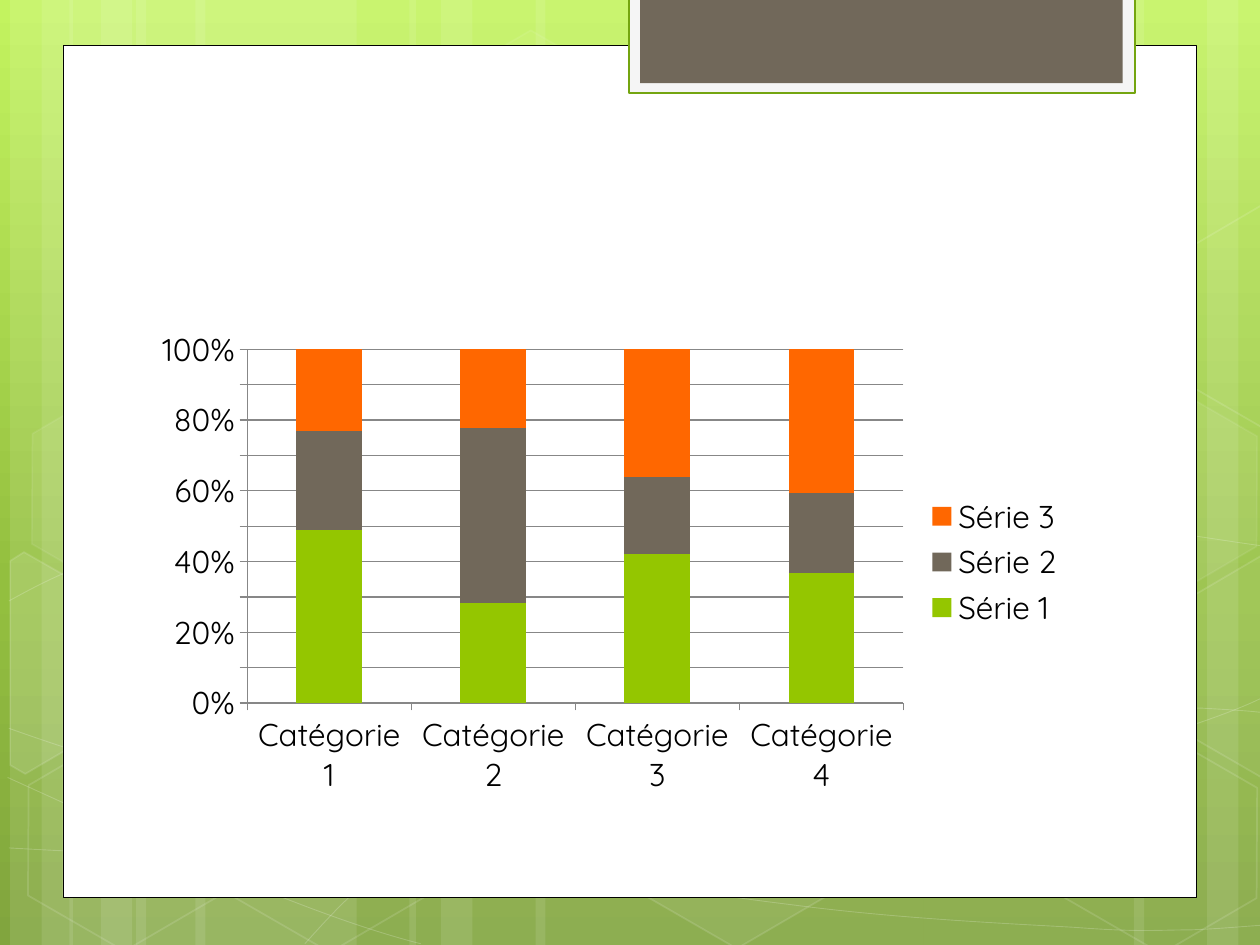
import copy
import math
import pptx
import pptx.util
import pptx.chart.data
import pptx.enum.chart
import pptx.enum.shapes
import pptx.oxml
import pptx.oxml.ns
from pptx.dml.color import RGBColor

THEME = dict(white="FFFFFF", black="000000", tab="71685A", rim="F5F5F5", edge="74A510",
             grid="878787", font="Quicksand", size=18,
             sky=[(0, "C3F35F"), (0.62, "93BF3F"), (1, "81A53E")],
             series=["94C600", "71685A", "FF6700"])
W, H = 10, 7.5
TILT = 30

# Content
CATS = [f"Catégorie {n}" for n in range(1, 5)]
SERIES = {"Série 1": (49, 28, 42, 37),
          "Série 2": (28, 49, 22, 23),
          "Série 3": (23, 22, 36, 41)}

# Decoration: bands (left, width), streams (start, then Bezier triples)
BAND_TRIO = [(1, 1.75), (0, 0.5), (0.25, 0.83)]
BANDS = [(start + dx, w) for start in (0.08, 0.55) for dx, w in BAND_TRIO]
BANDS += [(7.33, 1.75), (9.58, 0.5), (9, 0.83), (4.25, 3.08), (3.25, 0.5), (3.5, 0.83)]
STREAMS = [
    [(0.07, 6.73), (0.61, 6.76), (1.15, 6.79), (1.9, 6.78), (2.65, 6.77), (3.58, 6.75),
     (4.58, 6.65), (5.58, 6.55), (7, 6.36), (7.92, 6.17), (8.83, 5.98), (9.77, 5.68), (10.07, 5.51)],
    [(0.07, 4.77), (0.36, 4.61), (0.65, 4.46), (1.21, 4.31), (1.78, 4.16), (2.59, 3.94),
     (3.47, 3.87), (4.36, 3.8), (5.44, 3.79), (6.54, 3.87), (7.64, 3.95), (9.47, 4.26), (10.07, 4.34)],
    [(0.06, 6.17), (1.27, 6.72), (2.47, 7.27), (3.34, 7.49)],
    [(0.07, 5.78), (0.38, 5.89), (0.7, 6), (1.28, 6.16), (1.86, 6.31), (2.73, 6.56),
     (3.57, 6.73), (4.4, 6.9), (5.45, 7.08), (6.28, 7.18), (7.11, 7.29), (8, 7.33),
     (8.53, 7.36), (9.05, 7.4), (9.19, 7.38), (9.45, 7.38), (9.71, 7.37), (9.89, 7.35), (10.07, 7.34)],
    [(2.42, 7.49), (2.6, 7.29), (2.78, 7.09), (3.02, 6.91), (3.26, 6.73), (3.6, 6.53),
     (3.88, 6.39), (4.16, 6.25), (4.33, 6.19), (4.7, 6.09), (5.06, 5.99), (5.73, 5.85),
     (6.08, 5.78), (6.44, 5.71), (6.49, 5.71), (6.8, 5.69), (7.11, 5.66), (7.6, 5.63),
     (7.94, 5.62), (8.29, 5.61), (8.86, 5.62), (8.86, 5.62), (9.53, 5.62),
     (9.71, 5.63), (9.88, 5.64), (9.97, 5.65), (10.06, 5.66), (10.03, 5.65), (10.06, 5.66)],
]
STRAIGHT_TO = (9.53, 5.62)  # the only straight stretch of a stream
# Hexagons: left, top, fill opacity, line opacity
HEXAGONS = [(3.34, 0.36, 4, 8), (4.97, 5.89, 6, 12), (0.11, 5.91, 0, 12), (0.14, 3.12, 7, 8),
            (1.74, 5.92, 0, 12), (7.53, 4.53, 10, 12), (8.34, 5.93, 0, 12), (8.34, 3.14, 7, 8)]
# Hexagons cut by the slide's edge: centre, corners, fill opacity
RIGHT_CUT = [(9.26, 4.85), (10.01, 4.41), (10.09, 4.46), (10.09, 6.13), (10.02, 6.17), (9.26, 5.73)]
CUT_HEXAGONS = [
    ((0.36, 5.35), [(0.08, 4.45), (0.19, 4.38), (0.96, 4.82),
                    (0.95, 5.7), (0.2, 6.14), (0.08, 6.07)], 10),
    ((9.85, 5.2), RIGHT_CUT, 4),
    ((9.85, 2.42), [(x, y - 2.78) for x, y in RIGHT_CUT], 0),
]
# Panels: box, fill, line, line width
PANELS = [((0.5, 0.36, 9, 6.76), "white", "black", 0.5),
          ((4.99, -0.02, 4.02, 0.76), "rim", "edge", 1.25),
          ((5.08, -0.02, 3.83, 0.68), "tab", None, 0)]
CHART_BOX = (1.14, 2.54, 7.41, 3.84)

prs = pptx.Presentation()
prs.slide_width, prs.slide_height = pptx.util.Inches(W), pptx.util.Inches(H)
s = prs.slides.add_slide(prs.slide_layouts[6])
qn = pptx.oxml.ns.qn


def inches(values):
    return [pptx.util.Inches(v) for v in values]


def paint(fill, color, opacity=100):
    if not color or not opacity:
        fill.background()
        return
    fill.solid()
    fill.fore_color.rgb = RGBColor.from_string(color)
    if opacity < 100:
        clr = fill._xPr.find(".//" + qn("a:srgbClr"))
        alpha = pptx.oxml.parse_xml(f'<a:alpha {pptx.oxml.ns.nsdecls("a")} val="{opacity * 1000}"/>')
        clr.append(alpha)


def style(sp, fill=None, fill_op=100, line=None, width=0, line_op=100):
    sp.shadow.inherit = False
    paint(sp.fill, fill, fill_op)
    paint(sp.line.fill, line, line_op)
    if line:
        sp.line.width = pptx.util.Pt(width)


def add_shape(kind, box, **look):
    sp = s.shapes.add_shape(kind, *inches(box))
    style(sp, **look)
    return sp


def add_outline(points, close, **look):
    start, *rest = [inches(p) for p in points]
    builder = s.shapes.build_freeform(*start)
    builder.add_line_segments(rest, close=close)
    sp = builder.convert_to_shape()
    style(sp, **look)
    return sp


def bend(sp, points):
    """Join the outline's points in threes as Bezier curves."""
    steps = list(sp.element.iter(qn("a:lnTo")))
    i = 0
    while i < len(steps):
        if points[i + 1] == STRAIGHT_TO:
            i += 1
            continue
        curve = steps[i].makeelement(qn("a:cubicBezTo"), {})
        steps[i].addprevious(curve)
        for step in steps[i:i + 3]:
            curve.append(step[0])
            step.getparent().remove(step)
        i += 3


def turn_back(point, centre):
    a = math.radians(TILT)
    dx, dy = point[0] - centre[0], point[1] - centre[1]
    return (centre[0] + dx * math.cos(a) + dy * math.sin(a),
            centre[1] - dx * math.sin(a) + dy * math.cos(a))


# Background gradient
bg = s.background.fill
bg.gradient()
bg.gradient_angle = 270
stops = s.element.find(".//" + qn("a:gsLst"))
stops.append(copy.deepcopy(stops[0]))
for stop, (position, color) in zip(bg.gradient_stops, THEME["sky"]):
    stop.position = position
    stop.color.rgb = RGBColor.from_string(color)

# Bands, streams and hexagons
SHAPE = pptx.enum.shapes.MSO_SHAPE
white = THEME["white"]
for left, width in BANDS:
    add_shape(SHAPE.RECTANGLE, (left, 0, width, H), fill=white, fill_op=10)
for stream in STREAMS:
    bend(add_outline(stream, False, line=white, width=0.5, line_op=20), stream)
for left, top, fill_op, line_op in HEXAGONS:
    sp = add_shape(SHAPE.HEXAGON, (left, top, 1.75, 1.52), fill=white, fill_op=fill_op,
                   line=white, width=1, line_op=line_op)
    sp.rotation = TILT
    sp.adjustments[0] = 0.285
for centre, corners, fill_op in CUT_HEXAGONS:
    sp = add_outline([turn_back(p, centre) for p in corners], True, fill=white, fill_op=fill_op,
                     line=white, width=1, line_op=12)
    sp.rotation = TILT

# White page and tab
for box, fill, line, width in PANELS:
    add_shape(SHAPE.RECTANGLE, box, fill=THEME[fill], line=THEME.get(line), width=width)

# Chart
XL = pptx.enum.chart
data = pptx.chart.data.CategoryChartData(number_format="0")
data.categories = CATS
for name, values in SERIES.items():
    data.add_series(name, values)
chart = s.shapes.add_chart(XL.XL_CHART_TYPE.COLUMN_STACKED_100, *inches(CHART_BOX), data).chart
for key, value in dict(name=THEME["font"], size=pptx.util.Pt(THEME["size"])).items():
    setattr(chart.font, key, value)
chart.font.color.rgb = RGBColor.from_string(THEME["black"])
chart.has_title = False
chart.has_legend = True
chart.legend.position = XL.XL_LEGEND_POSITION.RIGHT
chart.legend.include_in_layout = False

plot = chart.plots[0]
for key, value in dict(gap_width=150, overlap=100, vary_by_categories=False).items():
    setattr(plot, key, value)
for ser, color in zip(plot.series, THEME["series"]):
    paint(ser.format.fill, color)

val_axis, cat_axis = chart.value_axis, chart.category_axis
val_axis.has_major_gridlines = True
val_axis.tick_labels.number_format = "0%"
val_axis.tick_labels.number_format_is_linked = False
for axis in (val_axis, cat_axis):
    axis.major_tick_mark = XL.XL_TICK_MARK.OUTSIDE
    axis.minor_tick_mark = XL.XL_TICK_MARK.NONE
for part in (val_axis, cat_axis, val_axis.major_gridlines):
    paint(part.format.line.fill, THEME["grid"])
    part.format.line.width = pptx.util.Pt(0.75)

prs.save("out.pptx")
